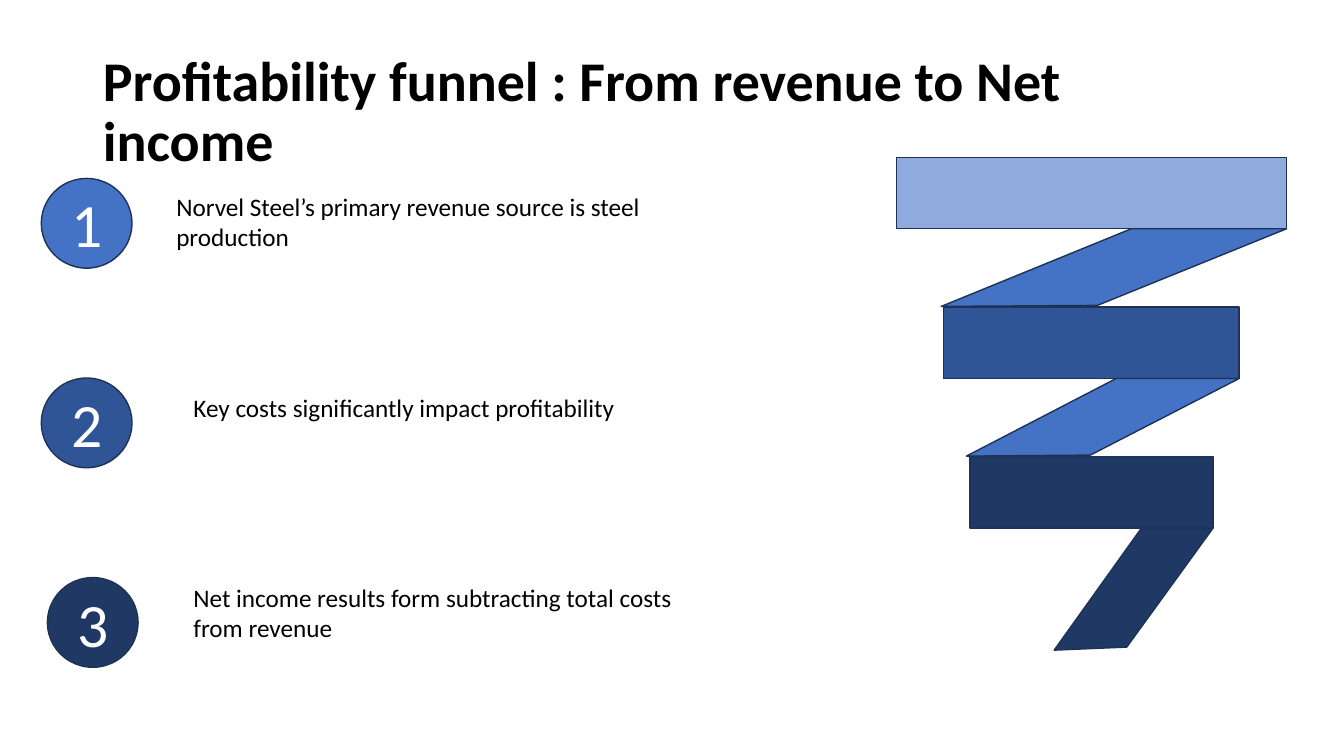
from pptx import Presentation
from pptx.dml.color import RGBColor
from pptx.enum.shapes import MSO_SHAPE
from pptx.enum.text import MSO_ANCHOR, MSO_AUTO_SIZE, PP_ALIGN
from pptx.util import Inches, Pt

RECTANGLE, OVAL = MSO_SHAPE.RECTANGLE, MSO_SHAPE.OVAL
MIDDLE, CENTER, LEFT = MSO_ANCHOR.MIDDLE, PP_ALIGN.CENTER, PP_ALIGN.LEFT
FIT_SHAPE, NO_FIT = MSO_AUTO_SIZE.SHAPE_TO_FIT_TEXT, MSO_AUTO_SIZE.NONE

BLACK = RGBColor(0x00, 0x00, 0x00)
WHITE = RGBColor(0xFF, 0xFF, 0xFF)
LIGHT_BLUE = RGBColor(0x8F, 0xAA, 0xDC)
BLUE = RGBColor(0x44, 0x72, 0xC4)
DARK_BLUE = RGBColor(0x2F, 0x55, 0x97)
NAVY = RGBColor(0x20, 0x38, 0x64)
OUTLINE = RGBColor(0x1E, 0x32, 0x56)
FONT = "Calibri"

STEP_PITCH = 1.98
CIRCLE_WIDTH, CIRCLE_HEIGHT = 0.9, 0.89
# Colour, circle shift, text shift right and down, text height, wording
STEPS = [
    (BLUE, 0, 1.24, 0.08, 0.71,
     "Norvel Steel’s primary revenue source is steel production"),
    (DARK_BLUE, 0, 1.41, 0.09, 0.4,
     "Key costs significantly impact profitability"),
    (NAVY, 0.06, 1.41, 0, 0.71,
     "Net income results form subtracting total costs from revenue"),
]

BAND_HEIGHT, BAND_PITCH = 0.71, 1.485
# Band width and colour, then the fold below it:
# colour, width, left end from the funnel's centre, drop, rise of its end
FUNNEL = [
    (3.87, LIGHT_BLUE, BLUE, 1.54, -1.49, 0.77, 0.01),
    (2.93, DARK_BLUE, BLUE, 1.22, -1.24, 0.77, 0.01),
    (2.41, NAVY, NAVY, 0.71, -0.37, 1.21, 0.03),
]


def style_text(text_frame, text, size, color, alignment=LEFT, bold=False):
    text_frame.text = text
    paragraph = text_frame.paragraphs[0]
    paragraph.alignment = alignment
    font = paragraph.runs[0].font
    font.name, font.size, font.bold = FONT, Pt(size), bold
    font.color.rgb = color
    return paragraph


def style_shape(shape, color):
    shape.shadow.inherit = False
    shape.fill.solid()
    shape.fill.fore_color.rgb = color
    shape.line.color.rgb = OUTLINE
    shape.line.width = Pt(1)


def add_title(slide, left, top, width, height):
    title = slide.shapes.title
    title.left, title.top = Inches(left), Inches(top)
    title.width, title.height = Inches(width), Inches(height)
    text_frame = title.text_frame
    text_frame.auto_size = NO_FIT
    text_frame.vertical_anchor = MIDDLE
    paragraph = style_text(
        text_frame, "Profitability funnel : From revenue to Net income",
        40, BLACK, bold=True)
    paragraph.line_spacing = 0.9


def add_steps(slide, left, top, text_width):
    for index, (color, shift, text_x, text_y, height, text) in enumerate(STEPS):
        step_top = top + index * STEP_PITCH
        # Numbered circle
        circle = slide.shapes.add_shape(
            OVAL, Inches(left + shift), Inches(step_top),
            Inches(CIRCLE_WIDTH), Inches(CIRCLE_HEIGHT))
        style_shape(circle, color)
        circle.text_frame.vertical_anchor = MIDDLE
        style_text(circle.text_frame, str(index + 1), 44, WHITE, CENTER)
        # Explanation
        box = slide.shapes.add_textbox(
            Inches(left + text_x), Inches(step_top + text_y),
            Inches(text_width), Inches(height))
        box.text_frame.word_wrap = True
        box.text_frame.auto_size = FIT_SHAPE
        style_text(box.text_frame, text, 18, BLACK)


def add_funnel(slide, left, top, width):
    center = left + width / 2
    for index, (band_width, band_color, fold_color, fold_width,
                fold_end, drop, rise) in enumerate(FUNNEL):
        band_top = top + index * BAND_PITCH
        # Flat band
        band = slide.shapes.add_shape(
            RECTANGLE, Inches(center - band_width / 2), Inches(band_top),
            Inches(band_width), Inches(BAND_HEIGHT))
        style_shape(band, band_color)
        # Slanted fold hanging from the band's right end
        right = center + band_width / 2
        fold_top = band_top + BAND_HEIGHT
        fold_left, fold_bottom = center + fold_end, fold_top + drop
        corners = [
            (right, fold_top),
            (fold_left + fold_width + 0.01, fold_bottom - rise),
            (fold_left, fold_bottom),
        ]
        builder = slide.shapes.build_freeform(
            Inches(right - fold_width), Inches(fold_top))
        builder.add_line_segments(
            [(Inches(x), Inches(y)) for x, y in corners], close=True)
        style_shape(builder.convert_to_shape(), fold_color)


def main():
    presentation = Presentation()
    presentation.slide_width = Inches(13.33)
    presentation.slide_height = Inches(7.5)
    slide = presentation.slides.add_slide(presentation.slide_layouts[5])
    add_title(slide, 0.92, 0.4, 11.5, 1.45)
    add_steps(slide, 0.41, 1.77, 5.02)
    add_funnel(slide, 8.89, 1.56, 3.87)
    presentation.save("out.pptx")


if __name__ == "__main__":
    main()
